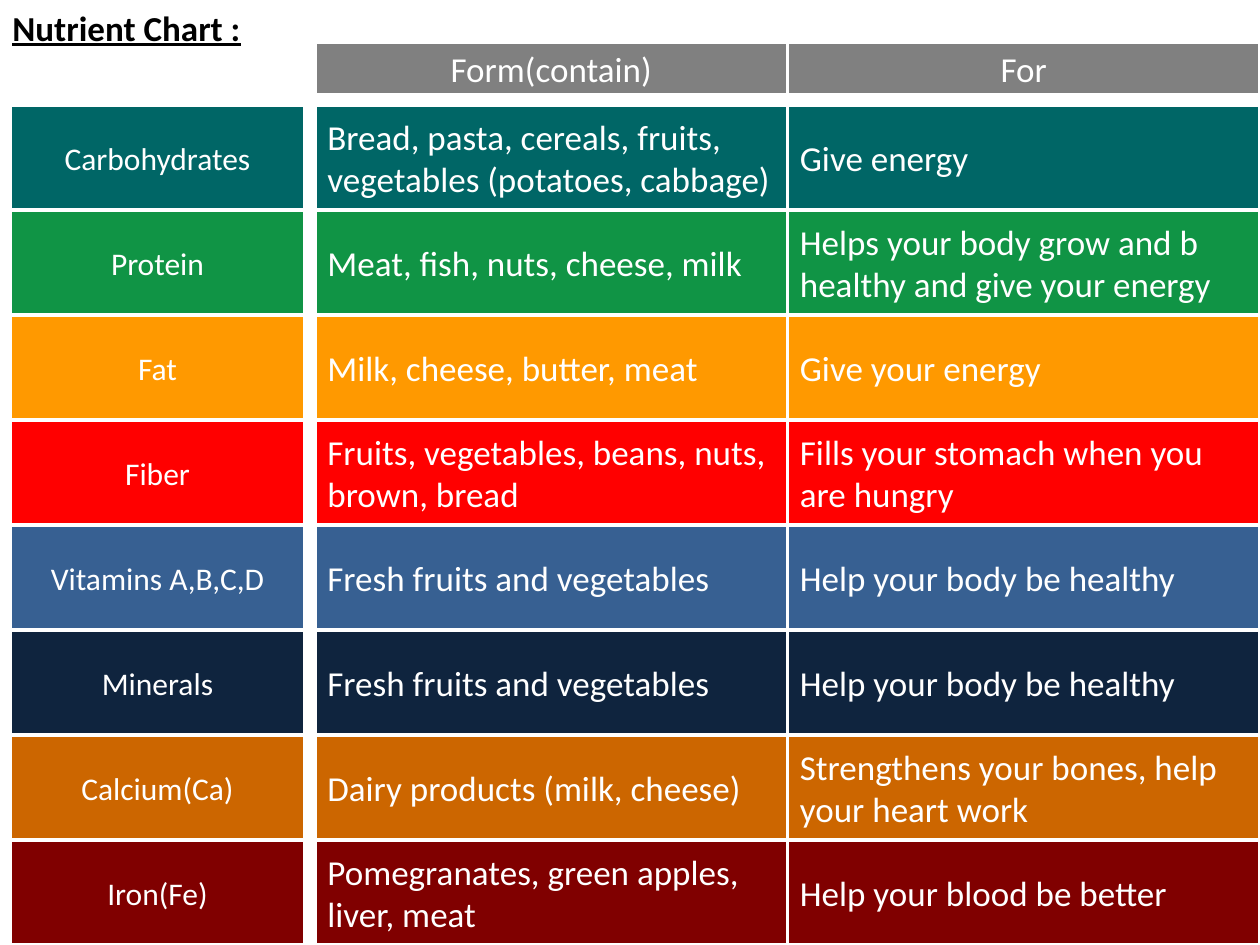
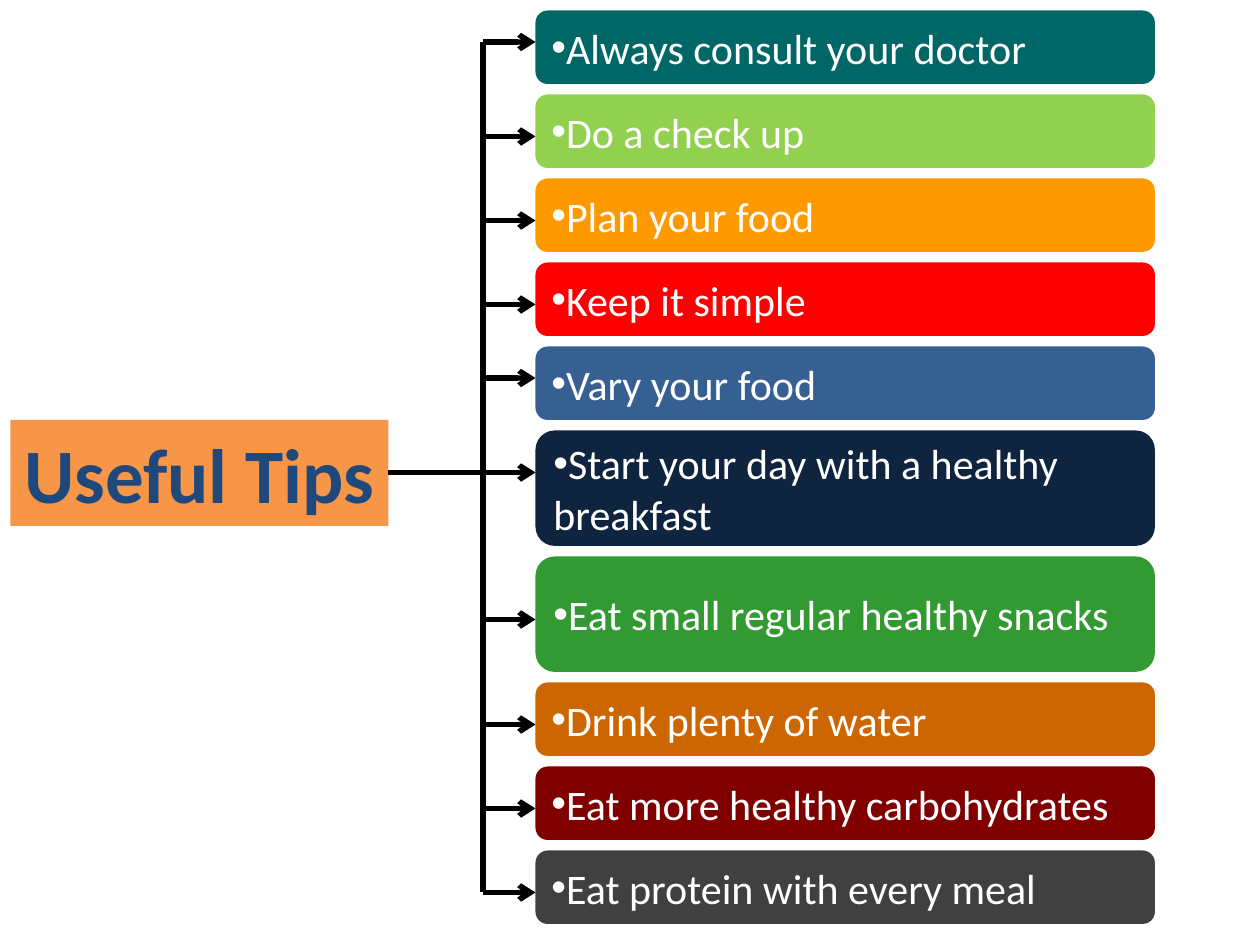
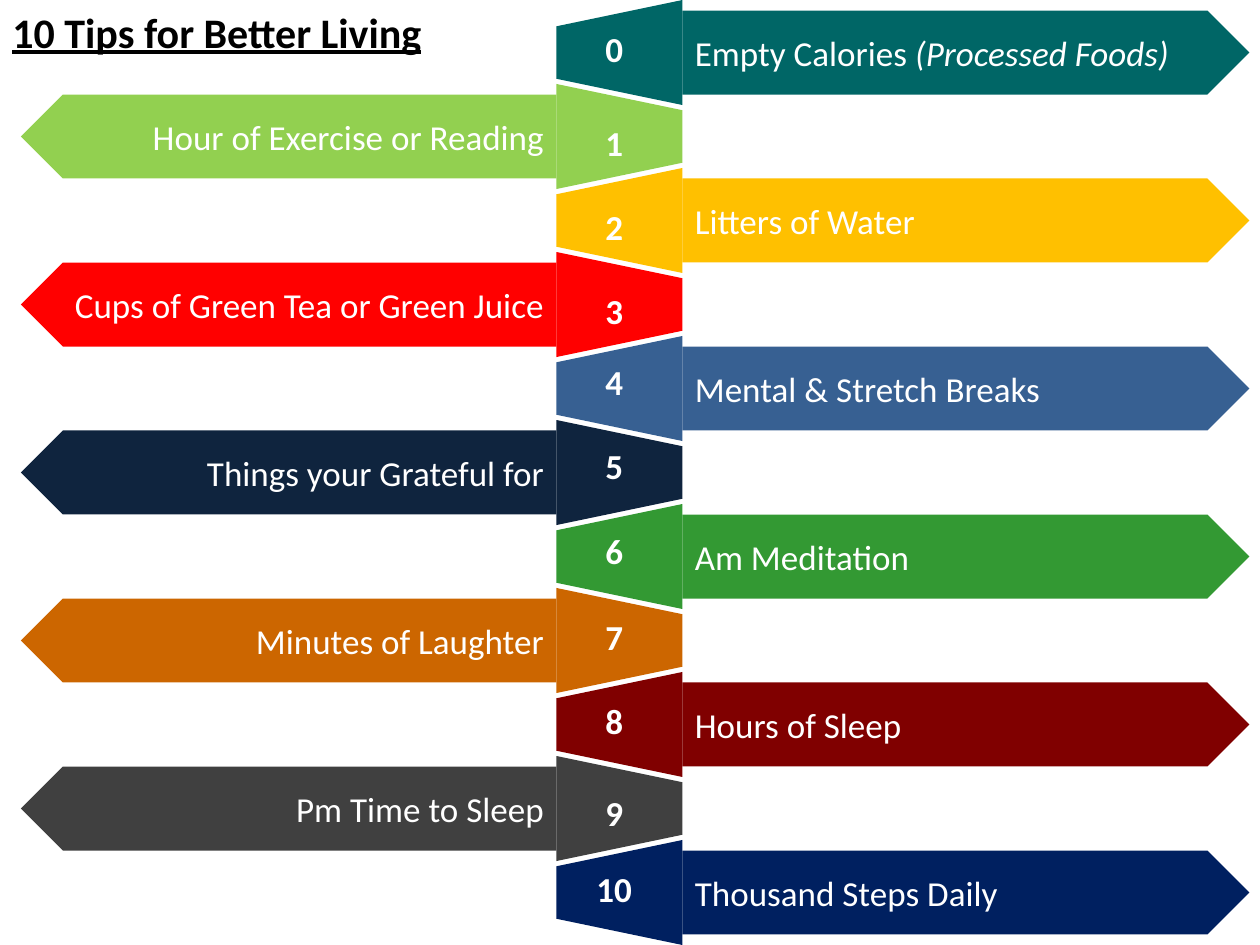
from dataclasses import dataclass
from itertools import accumulate

from lxml import etree
from pptx import Presentation
from pptx.dml.color import RGBColor
from pptx.enum import shapes, text
from pptx.oxml.ns import qn
from pptx.util import Pt

FONT = "Calibri"
COLORS = {
    "white": "FFFFFF", "black": "000000", "gray": "808080", "teal": "006666",
    "emerald": "109445", "lime": "92D050", "orange": "FF9900", "amber": "FFC000",
    "red": "FF0000", "blue": "376092", "navy": "0F243E", "green": "339933",
    "brown": "CC6600", "maroon": "800000", "charcoal": "404040",
    "royal": "002060", "peach": "F79646", "indigo": "1F497D",
}
LEFT, CENTER, RIGHT = text.PP_ALIGN.LEFT, text.PP_ALIGN.CENTER, text.PP_ALIGN.RIGHT
PRESET = shapes.MSO_SHAPE


@dataclass(frozen=True)
class Box:
    left: float
    top: float
    width: float
    height: float

    def lengths(self) -> list:
        return [Pt(v) for v in (self.left, self.top, self.width, self.height)]


@dataclass(frozen=True)
class TextStyle:
    size: float = 20
    color: str = "white"
    align: text.PP_ALIGN = LEFT
    bold: bool = False
    underline: bool = False


@dataclass(frozen=True)
class Nutrient:
    name: str
    contained_in: str
    purpose: str
    color: str


@dataclass(frozen=True)
class Tip:
    wording: str
    color: str
    arrow_y: float
    height: float = 42


@dataclass(frozen=True)
class Habit:
    wording: str
    color: str
    number_top: float
    aside: str = ""


NUTRIENTS = [
    Nutrient("Carbohydrates", "Bread, pasta, cereals, fruits, vegetables (potatoes, cabbage)",
             "Give energy", "teal"),
    Nutrient("Protein", "Meat, fish, nuts, cheese, milk",
             "Helps your body grow and b healthy and give your energy", "emerald"),
    Nutrient("Fat", "Milk, cheese, butter, meat", "Give your energy", "orange"),
    Nutrient("Fiber", "Fruits, vegetables, beans, nuts, brown, bread",
             "Fills your stomach when you are hungry", "red"),
    Nutrient("Vitamins A,B,C,D", "Fresh fruits and vegetables",
             "Help your body be healthy", "blue"),
    Nutrient("Minerals", "Fresh fruits and vegetables",
             "Help your body be healthy", "navy"),
    Nutrient("Calcium(Ca)", "Dairy products (milk, cheese)",
             "Strengthens your bones, help your heart work", "brown"),
    Nutrient("Iron(Fe)", "Pomegranates, green apples, liver, meat",
             "Help your blood be better", "maroon"),
]

TIPS = [
    Tip("Always consult your doctor", "teal", 24),
    Tip("Do a check up", "lime", 78),
    Tip("Plan your food", "orange", 126),
    Tip("Keep it simple", "red", 174),
    Tip("Vary your food", "blue", 216),
    Tip("Start your day with a healthy breakfast", "navy", 270, 66),
    Tip("Eat small regular healthy snacks", "green", 354, 66),
    Tip("Drink plenty of water", "brown", 414),
    Tip("Eat more healthy carbohydrates", "maroon", 462),
    Tip("Eat protein with every meal", "charcoal", 510),
]

HABITS = [
    Habit("Empty Calories ", "teal", 12, "(Processed Foods)"),
    Habit("Hour of Exercise or Reading", "lime", 66),
    Habit("Litters of Water", "amber", 114),
    Habit("Cups of Green Tea or Green Juice", "red", 162),
    Habit("Mental & Stretch Breaks", "blue", 202.5),
    Habit("Things your Grateful for", "navy", 250.5),
    Habit("Am Meditation", "green", 299),
    Habit("Minutes of Laughter", "brown", 348),
    Habit("Hours of Sleep", "maroon", 396),
    Habit("Pm Time to Sleep", "charcoal", 448.5),
    Habit("Thousand Steps Daily", "royal", 492),
]


# Shared drawing functions
def rgb(color: str) -> RGBColor:
    return RGBColor.from_string(COLORS[color])


def write(shape, wording: str, style: TextStyle, aside: str = ""):
    """Write one paragraph, with an optional run in italics."""
    paragraph = shape.text_frame.paragraphs[0]
    paragraph.alignment = style.align
    for part, italic in ((wording, None), (aside, True)):
        if part:
            run = paragraph.add_run()
            run.text = part
            font = run.font
            font.name, font.size = FONT, Pt(style.size)
            font.color.rgb = rgb(style.color)
            font.bold, font.underline, font.italic = style.bold, style.underline, italic
    return paragraph


def add_panel(slide, preset, box: Box, fill: str, outline: str = ""):
    panel = slide.shapes.add_shape(preset, *box.lengths())
    panel.shadow.inherit = False
    panel.fill.solid()
    panel.fill.fore_color.rgb = rgb(fill)
    if outline:
        panel.line.color.rgb = rgb(outline)
        panel.line.width = Pt(2)
    else:
        panel.line.fill.background()
    panel.text_frame.word_wrap = True
    panel.text_frame.vertical_anchor = text.MSO_ANCHOR.MIDDLE
    return panel


def add_label(slide, box: Box, wording: str, style: TextStyle) -> None:
    label = slide.shapes.add_textbox(*box.lengths())
    label.text_frame.word_wrap = True
    label.text_frame.auto_size = text.MSO_AUTO_SIZE.SHAPE_TO_FIT_TEXT
    write(label, wording, style)


def add_title(slide, wording: str, size: float, height: float) -> None:
    add_label(slide, Box(0, 0, 318, height), wording,
              TextStyle(size, "black", bold=True, underline=True))


def add_line(slide, x1: float, y1: float, x2: float, y2: float, arrow: bool = False) -> None:
    line = slide.shapes.add_connector(
        shapes.MSO_CONNECTOR.STRAIGHT, Pt(x1), Pt(y1), Pt(x2), Pt(y2))
    line.line.color.rgb = rgb("black")
    line.line.width = Pt(3)
    properties = line._element.spPr
    if arrow:
        etree.SubElement(properties.find(qn("a:ln")), qn("a:tailEnd"), type="arrow")
    etree.SubElement(properties, qn("a:effectLst"))


def add_bullet(paragraph) -> None:
    properties = paragraph._p.get_or_add_pPr()
    properties.set("marL", "0")
    properties.set("indent", "0")
    etree.SubElement(properties, qn("a:buFont"), typeface="Arial")
    etree.SubElement(properties, qn("a:buChar"), char="•")


# Slide 1: nutrients in three columns
def build_nutrient_chart(slide) -> None:
    name_left, name_width = 6, 168
    form_left, purpose_left, column_width = 180, 450, 270
    first_row, row_height = 60, 60

    def add_cell(box: Box, wording: str, fill: str, style: TextStyle) -> None:
        write(add_panel(slide, PRESET.RECTANGLE, box, fill, "white"), wording, style)

    for left, heading in ((form_left, "Form(contain)"), (purpose_left, "For")):
        add_cell(Box(left, 24, column_width, 30), heading, "gray", TextStyle(align=CENTER))
    for row, nutrient in enumerate(NUTRIENTS):
        top = first_row + row * row_height
        for left, width, wording, style in (
            (name_left, name_width, nutrient.name, TextStyle(18, align=CENTER)),
            (form_left, column_width, nutrient.contained_in, TextStyle()),
            (purpose_left, column_width, nutrient.purpose, TextStyle()),
        ):
            add_cell(Box(left, top, width, row_height), wording, nutrient.color, style)
    add_title(slide, "Nutrient Chart :", 20, 31.5)


# Slide 2: tips branching from one trunk
def build_useful_tips(slide) -> None:
    root_right, trunk_x, tip_left, gap = 222, 276, 306, 6

    root = add_panel(slide, PRESET.RECTANGLE, Box(6, 240, root_right - 6, 60.5), "peach")
    root.text_frame.word_wrap = False
    root.text_frame.auto_size = text.MSO_AUTO_SIZE.SHAPE_TO_FIT_TEXT
    root.text_frame.vertical_anchor = text.MSO_ANCHOR.TOP
    write(root, "Useful Tips", TextStyle(44, "indigo", CENTER, bold=True))

    add_line(slide, root_right, 270, trunk_x, 270)
    add_line(slide, trunk_x, TIPS[0].arrow_y, trunk_x, TIPS[-1].arrow_y)
    tops = accumulate((tip.height + gap for tip in TIPS), initial=gap)
    for tip, top in zip(TIPS, tops):
        add_line(slide, trunk_x, tip.arrow_y, tip_left, tip.arrow_y, arrow=True)
        panel = add_panel(slide, PRESET.ROUNDED_RECTANGLE,
                          Box(tip_left, top, 354, tip.height), tip.color)
        add_bullet(write(panel, tip.wording, TextStyle(24)))


# Slide 3: numbered habits on alternating sides of a folded ribbon
def build_better_living(slide) -> None:
    step = 48
    for number, habit in enumerate(HABITS):
        points_right = number % 2 == 0
        fold = add_panel(slide, PRESET.TRAPEZOID,
                         Box(324, number * step - 6, 60, 72), habit.color)
        fold.rotation = 270 if points_right else 90

        left, width = (390, 324) if points_right else (12, 306)
        banner = add_panel(slide, PRESET.PENTAGON,
                           Box(left, number * step + 6, width, step), habit.color)
        if not points_right:
            banner._element.spPr.find(qn("a:xfrm")).set("flipH", "1")
        write(banner, habit.wording, TextStyle(align=LEFT if points_right else RIGHT),
              habit.aside)
    # Numbers lie above the folds
    for number, habit in enumerate(HABITS):
        add_label(slide, Box(324, habit.number_top, 54, 31.5), str(number),
                  TextStyle(align=CENTER, bold=True))
    add_title(slide, "10 Tips for Better Living", 24, 36)


def main() -> None:
    deck = Presentation()
    deck.slide_width, deck.slide_height = Pt(720), Pt(540)
    blank = deck.slide_layouts[6]
    for build in (build_nutrient_chart, build_useful_tips, build_better_living):
        build(deck.slides.add_slide(blank))
    deck.save("out.pptx")


if __name__ == "__main__":
    main()
